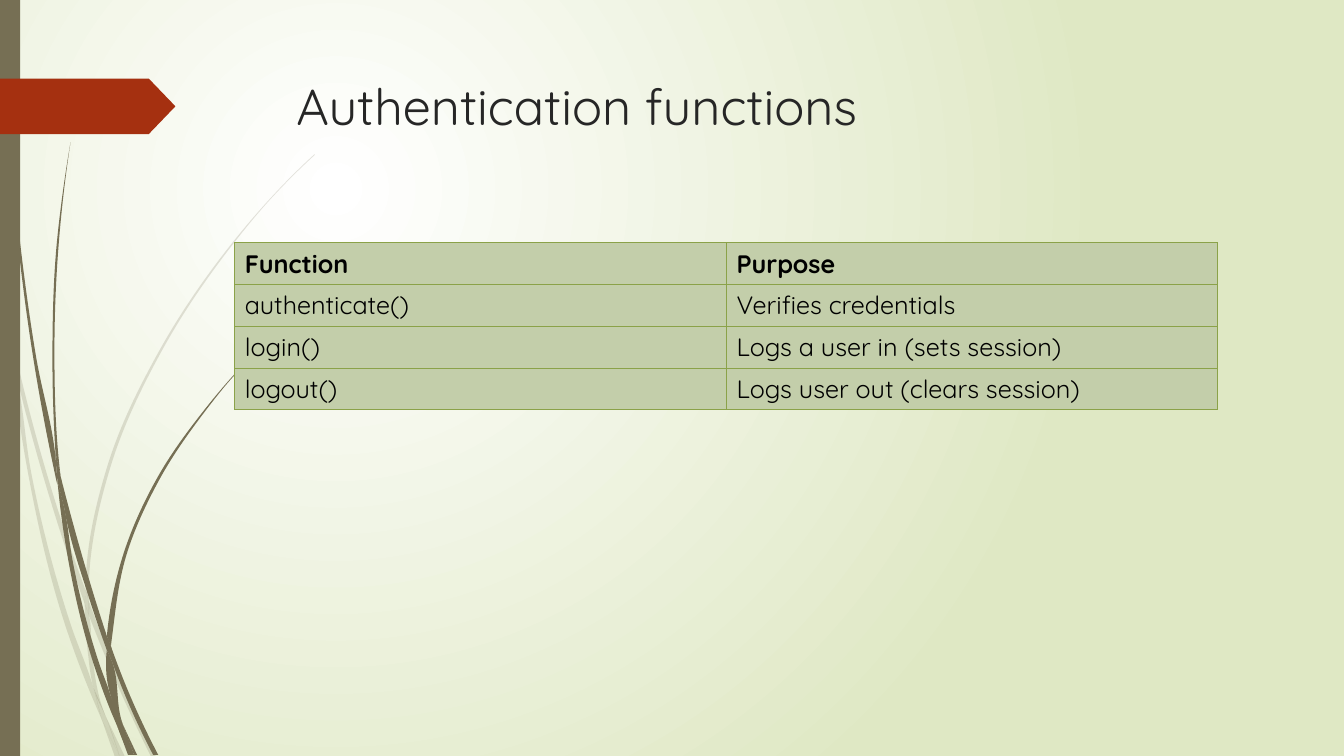
from dataclasses import dataclass
from math import dist

from lxml.etree import SubElement
from pptx import Presentation
from pptx.dml.color import RGBColor
from pptx.enum.shapes import MSO_SHAPE
from pptx.enum.text import MSO_ANCHOR, PP_ALIGN
from pptx.oxml.ns import qn
from pptx.util import Inches, Pt


@dataclass(frozen=True)
class Theme:
    font: str = "Quicksand"
    title_size: int = 36
    table_size: int = 18
    title_color: str = "262626"
    table_text: str = "000000"
    cell_fill: str = "C3CEAA"
    cell_border: str = "8BA249"
    border_width: float = 0.75
    stem: str = "766F54"
    pale_opacity: int = 20
    tag: str = "A53010"
    glow: str = "FFFFFF"
    backdrop: str = "DFE8C4"


# Each blade is an outward edge and a return edge, in inches.
PALE_BLADES = [
    ([(0, 2.82), (0.09, 3.22), (0.11, 3.5)], [(0.1, 3.44), (0, 2.99)]),
    ([(0.14, 3.45), (0.62, 5.2), (0.85, 5.86)],
     [(0.84, 5.99), (0.58, 5.22), (0.17, 3.76)]),
    ([(0.88, 5.96), (0.92, 6.07), (1.27, 6.92), (1.55, 7.51)],
     [(1.5, 7.51), (1.23, 6.94), (0.88, 6.1)]),
    ([(1.05, 7.11), (1.24, 7.51)], [(1.19, 7.51)]),
    ([(0.11, 3.5), (0.17, 3.76), (0.31, 4.69), (0.7, 6.19), (0.93, 6.83), (1.01, 7.14)],
     [(0.92, 6.93), (0.65, 6.21), (0.28, 4.7), (0.11, 3.5)]),
    ([(0.84, 5.99), (0.88, 6.1), (0.91, 6.46), (1.03, 7.06), (1.05, 7.11)],
     [(0.96, 6.92), (0.93, 6.83), (0.87, 6.46), (0.84, 5.99)]),
    ([(0.85, 5.86), (0.85, 5.84), (1.07, 4.61), (1.58, 3.48), (2.28, 2.44),
      (2.68, 1.97), (2.89, 1.75), (3.12, 1.53)],
     [(3.12, 1.54), (2.9, 1.75), (2.68, 1.98), (2.29, 2.45), (1.6, 3.49),
      (1.1, 4.62), (0.88, 5.84), (0.88, 5.96)]),
    ([(1.01, 7.14), (1.19, 7.51)], [(1.14, 7.51)]),
    ([(0.85, 5.86), (0.88, 5.96), (0.88, 6.1)], [(0.84, 5.99)]),
    ([(0.93, 6.83), (1.05, 7.11), (1.19, 7.51)], [(1.01, 7.14), (0.93, 6.83)]),
]
DARK_BLADES = [
    ([(0.04, 0), (0.05, 0.48), (0.08, 1.09), (0.19, 2.32), (0.36, 3.55),
      (0.55, 4.53), (0.57, 4.81)],
     [(0.56, 4.77), (0.33, 3.55), (0.17, 2.33), (0.07, 1.1), (0.04, 0.48), (0.03, 0)]),
    ([(0.6, 4.72), (0.93, 5.9), (1.06, 6.31)],
     [(1.06, 6.45), (0.88, 5.92), (0.64, 5.05), (0.6, 4.72)]),
    ([(1.1, 6.41), (1.36, 7.06), (1.57, 7.49)],
     [(1.52, 7.49), (1.32, 7.08), (1.11, 6.56)]),
    ([(0.57, 4.77), (0.64, 5.05), (0.72, 5.56), (0.98, 6.57), (1.1, 6.91), (1.17, 7.22)],
     [(1.11, 7.08), (0.93, 6.59), (0.68, 5.57), (0.57, 4.77)]),
    ([(0.7, 1.41), (0.63, 1.93), (0.58, 2.45), (0.54, 3.49), (0.58, 4.53), (0.6, 4.72)],
     [(0.55, 4.49), (0.52, 3.49), (0.56, 2.45), (0.62, 1.93), (0.7, 1.41)]),
    ([(1.22, 7.19), (1.36, 7.49)], [(1.33, 7.49)]),
    ([(0.55, 4.49), (0.6, 4.72), (0.64, 5.05)], [(0.57, 4.77), (0.55, 4.53)]),
    ([(1.06, 6.31), (1.22, 5.51), (1.56, 4.74), (2.04, 4.05), (2.31, 3.73),
      (2.45, 3.58), (2.6, 3.44)],
     [(2.61, 3.44), (2.45, 3.59), (2.31, 3.74), (2.05, 4.06), (1.58, 4.76),
      (1.25, 5.52), (1.11, 6.33), (1.1, 6.41)]),
    ([(1.17, 7.22), (1.31, 7.49)], [(1.27, 7.49)]),
    ([(1.06, 6.45), (1.11, 6.56), (1.21, 7.16), (1.22, 7.19)],
     [(1.16, 7.06), (1.1, 6.91), (1.06, 6.45)]),
    ([(1.06, 6.31), (1.1, 6.41), (1.11, 6.56)], [(1.06, 6.45)]),
    ([(1.1, 6.91), (1.22, 7.19), (1.33, 7.49)],
     [(1.3, 7.49), (1.17, 7.22), (1.1, 6.91)]),
]
FUNCTION_ROWS = [
    ("Function", "Purpose"),
    ("authenticate()", "Verifies credentials"),
    ("login()", "Logs a user in (sets session)"),
    ("logout()", "Logs user out (clears session)"),
]


def edge_handles(points):
    """Return the two Bezier handles of each segment of a smooth edge."""
    lengths = [dist(start, end) for start, end in zip(points, points[1:])]
    slopes = [[(b - a) / length for a, b in zip(start, end)]
              for start, end, length in zip(points, points[1:], lengths)]
    if len(points) < 3:
        tangents = slopes * 2
    else:
        inner = [[(a * after + b * before) / (before + after) for a, b in zip(first, second)]
                 for first, second, before, after
                 in zip(slopes, slopes[1:], lengths, lengths[1:])]
        first, last = ([2 * a - b for a, b in zip(slopes[end], inner[end])] for end in (0, -1))
        tangents = [first, *inner, last]
    return [([a + t * length / 3 for a, t in zip(points[i], tangents[i])],
             [b - t * length / 3 for b, t in zip(points[i + 1], tangents[i + 1])])
            for i, length in enumerate(lengths)]


class SlideBuilder:
    def __init__(self, slide, theme):
        self.slide = slide
        self.theme = theme

    def background(self):
        fill = self.slide.background.fill
        fill.gradient()
        for stop, color in zip(fill.gradient_stops, (self.theme.glow, self.theme.backdrop)):
            stop.color.rgb = RGBColor.from_string(color)
        gradient = self.slide.element.find(".//" + qn("a:gradFill"))
        linear = gradient.find(qn("a:lin"))
        circle = gradient.makeelement(qn("a:path"), {"path": "circle"})
        gradient.replace(linear, circle)
        SubElement(circle, qn("a:fillToRect"), l="50000", t="50000", r="100000", b="100000")

    def paint(self, shape, color, opacity=100):
        shape.shadow.inherit = False
        shape.line.fill.background()
        shape.fill.solid()
        shape.fill.fore_color.rgb = RGBColor.from_string(color)
        if opacity < 100:
            color_element = shape.element.spPr.find(".//" + qn("a:srgbClr"))
            SubElement(color_element, qn("a:alpha"), val=str(opacity * 1000))

    def curve(self, shape, outward, inward):
        """Bend the straight segments of both edges; the join between them stays straight."""
        segments = shape.element.findall(".//" + qn("a:lnTo"))
        handles = edge_handles(outward) + [None] + edge_handles(inward)
        for segment, pair in zip(segments, handles):
            if pair:
                segment.tag = qn("a:cubicBezTo")
                for index, (x, y) in enumerate(pair):
                    point = segment.makeelement(
                        qn("a:pt"), {"x": str(Inches(x) - shape.left),
                                     "y": str(Inches(y) - shape.top)})
                    segment.insert(index, point)

    def blades(self, outlines, opacity=100):
        group = self.slide.shapes.add_group_shape()
        for outward, inward in outlines:
            outline = [(Inches(x), Inches(y)) for x, y in outward + inward]
            builder = group.shapes.build_freeform(*outline[0])
            builder.add_line_segments(outline[1:], close=True)
            blade = builder.convert_to_shape()
            self.curve(blade, outward, inward)
            self.paint(blade, self.theme.stem, opacity)

    def block(self, kind, left, top, width, height, color):
        shape = self.slide.shapes.add_shape(
            kind, Inches(left), Inches(top), Inches(width), Inches(height))
        self.paint(shape, color)
        return shape

    def format_text(self, text_frame, size, color, bold=False):
        for paragraph in text_frame.paragraphs:
            paragraph.alignment = PP_ALIGN.LEFT
            for run in paragraph.runs:
                run.font.name = self.theme.font
                run.font.size = Pt(size)
                run.font.bold = bold
                run.font.color.rgb = RGBColor.from_string(color)

    def title(self, text, left, top, width, height):
        title = self.slide.shapes.title
        title.left, title.top = Inches(left), Inches(top)
        title.width, title.height = Inches(width), Inches(height)
        title.text_frame.text = text
        title.text_frame.vertical_anchor = MSO_ANCHOR.TOP
        self.format_text(title.text_frame, self.theme.title_size, self.theme.title_color)

    def border(self, cell):
        properties = cell._tc.get_or_add_tcPr()
        for side in ("a:lnL", "a:lnR", "a:lnT", "a:lnB"):
            line = SubElement(properties, qn(side), w=str(Pt(self.theme.border_width)))
            fill = SubElement(line, qn("a:solidFill"))
            SubElement(fill, qn("a:srgbClr"), val=self.theme.cell_border)

    def table(self, rows, left, top, width, row_height):
        table = self.slide.shapes.add_table(
            len(rows), len(rows[0]), Inches(left), Inches(top),
            Inches(width), Inches(row_height * len(rows))).table
        for row_index, row in enumerate(rows):
            for column_index, text in enumerate(row):
                cell = table.cell(row_index, column_index)
                cell.text_frame.text = text
                cell.vertical_anchor = MSO_ANCHOR.MIDDLE
                self.border(cell)
                cell.fill.solid()
                cell.fill.fore_color.rgb = RGBColor.from_string(self.theme.cell_fill)
                self.format_text(cell.text_frame, self.theme.table_size,
                                 self.theme.table_text, bold=row_index == 0)


def main():
    presentation = Presentation()
    presentation.slide_width, presentation.slide_height = Inches(13.33), Inches(7.5)
    theme = Theme()
    builder = SlideBuilder(presentation.slides.add_slide(presentation.slide_layouts[5]), theme)
    builder.background()
    builder.blades(PALE_BLADES, theme.pale_opacity)
    builder.blades(DARK_BLADES)
    builder.block(MSO_SHAPE.RECTANGLE, 0, 0, 0.2, 7.5, theme.stem)
    tag = builder.block(MSO_SHAPE.PENTAGON, 0, 0.78, 1.74, 0.55, theme.tag)
    tag.adjustments[0] = 0.48
    builder.title("Authentication functions", 2.84, 0.69, 9.75, 1.4)
    builder.table(FUNCTION_ROWS, 2.33, 2.41, 9.75, 0.41)
    presentation.save("out.pptx")


if __name__ == "__main__":
    main()
